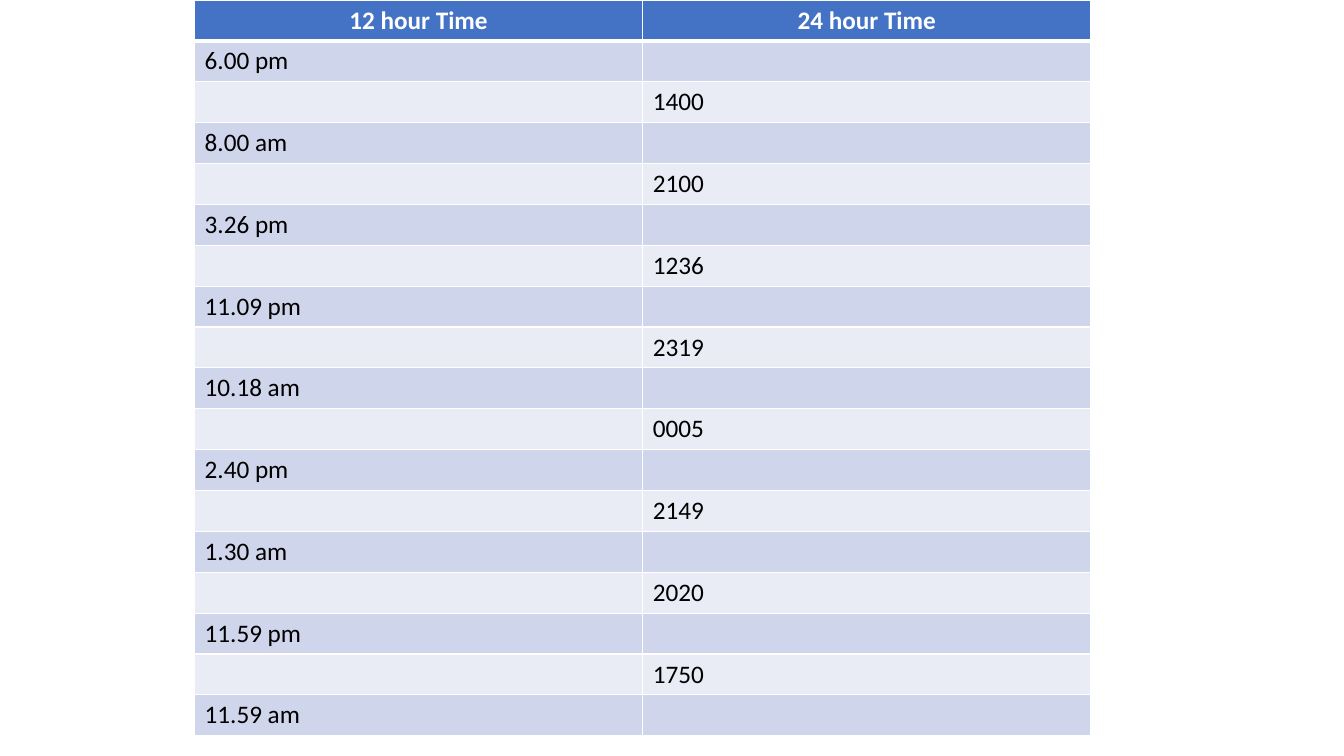
import pptx
import pptx.dml.color
import pptx.enum.text
import pptx.oxml
import pptx.oxml.ns
import pptx.util

SLIDE_WIDTH, SLIDE_HEIGHT = 13.33, 7.5
TABLE_LEFT, TABLE_WIDTH, TABLE_HEIGHT = 1.93, 8.89, 7.3
HEADINGS = ("12 hour Time", "24 hour Time")
# The times alternate between the two columns, starting on the left
TIMES = (
    "6.00 pm", "1400", "8.00 am", "2100", "3.26 pm", "1236",
    "11.09 pm", "2319", "10.18 am", "0005", "2.40 pm", "2149",
    "1.30 am", "2020", "11.59 pm", "1750", "11.59 am",
)
HEADING_FILL, RULE = "4472C4", "FFFFFF"
BANDS = ("CFD5EA", "E9EBF5")
HEADING_FONT = {"name": "Calibri", "size": pptx.util.Pt(18), "bold": True}
TIME_FONT = {**HEADING_FONT, "bold": False}


def color(hex_value):
    return pptx.dml.color.RGBColor.from_string(hex_value)


def set_borders(cell, **widths):
    """Draw solid rules on the cell's sides, placed ahead of its fill."""
    properties = cell._tc.get_or_add_tcPr()
    for position, (side, points) in enumerate(widths.items()):
        properties.insert(position, pptx.oxml.parse_xml(
            f'<a:{side} {pptx.oxml.ns.nsdecls("a")} w="{pptx.util.Pt(points)}">'
            f'<a:solidFill><a:srgbClr val="{RULE}"/></a:solidFill></a:{side}>'
        ))


def style_cell(cell, fill, top, bottom):
    cell.fill.solid()
    cell.fill.fore_color.rgb = color(fill)
    set_borders(cell, lnL=1, lnR=1, lnT=top, lnB=bottom)


def write_cell(cell, text, font_values, text_color, alignment):
    paragraph = cell.text_frame.paragraphs[0]
    paragraph.alignment = alignment
    run = paragraph.add_run()
    run.text = text
    for key, value in font_values.items():
        setattr(run.font, key, value)
    run.font.color.rgb = color(text_color)


def add_time_table(slide):
    row_count = len(TIMES) + 1
    table = slide.shapes.add_table(
        row_count, len(HEADINGS), pptx.util.Inches(TABLE_LEFT), 0,
        pptx.util.Inches(TABLE_WIDTH), pptx.util.Inches(TABLE_HEIGHT),
    ).table
    align = pptx.enum.text.PP_ALIGN

    # Heading row, with a heavier rule below
    for column, heading in enumerate(HEADINGS):
        cell = table.cell(0, column)
        style_cell(cell, HEADING_FILL, top=1, bottom=3)
        write_cell(cell, heading, HEADING_FONT, "FFFFFF", align.CENTER)

    # Banded rows, each with one time and one gap to fill in
    for index, time in enumerate(TIMES):
        for column in range(len(HEADINGS)):
            style_cell(table.cell(index + 1, column), BANDS[index % 2],
                       top=1 if index else 3, bottom=1)
        write_cell(table.cell(index + 1, index % 2), time, TIME_FONT,
                   "000000", align.LEFT)


def main():
    deck = pptx.Presentation()
    deck.slide_width = pptx.util.Inches(SLIDE_WIDTH)
    deck.slide_height = pptx.util.Inches(SLIDE_HEIGHT)
    add_time_table(deck.slides.add_slide(deck.slide_layouts[6]))
    deck.save("out.pptx")


if __name__ == "__main__":
    main()
